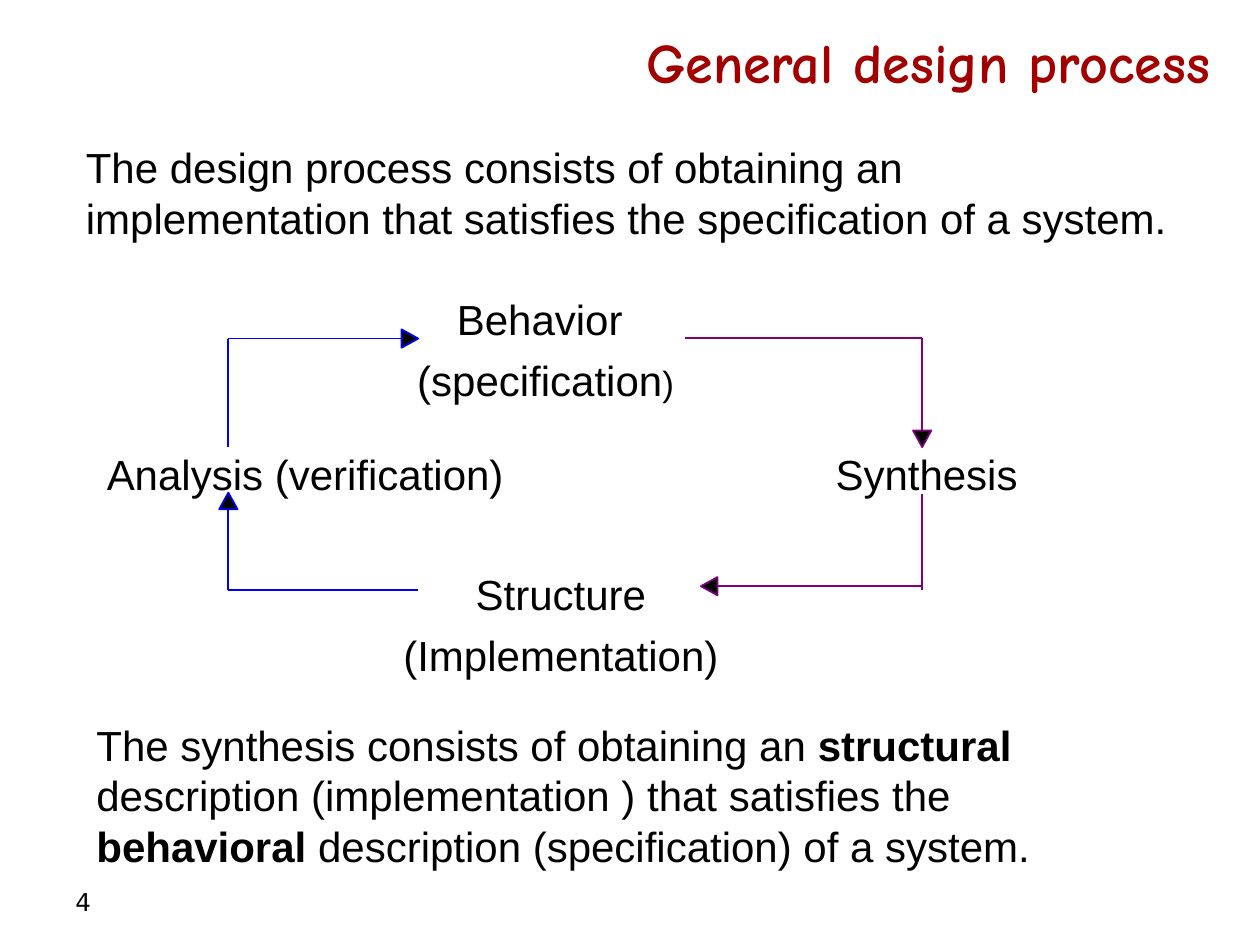
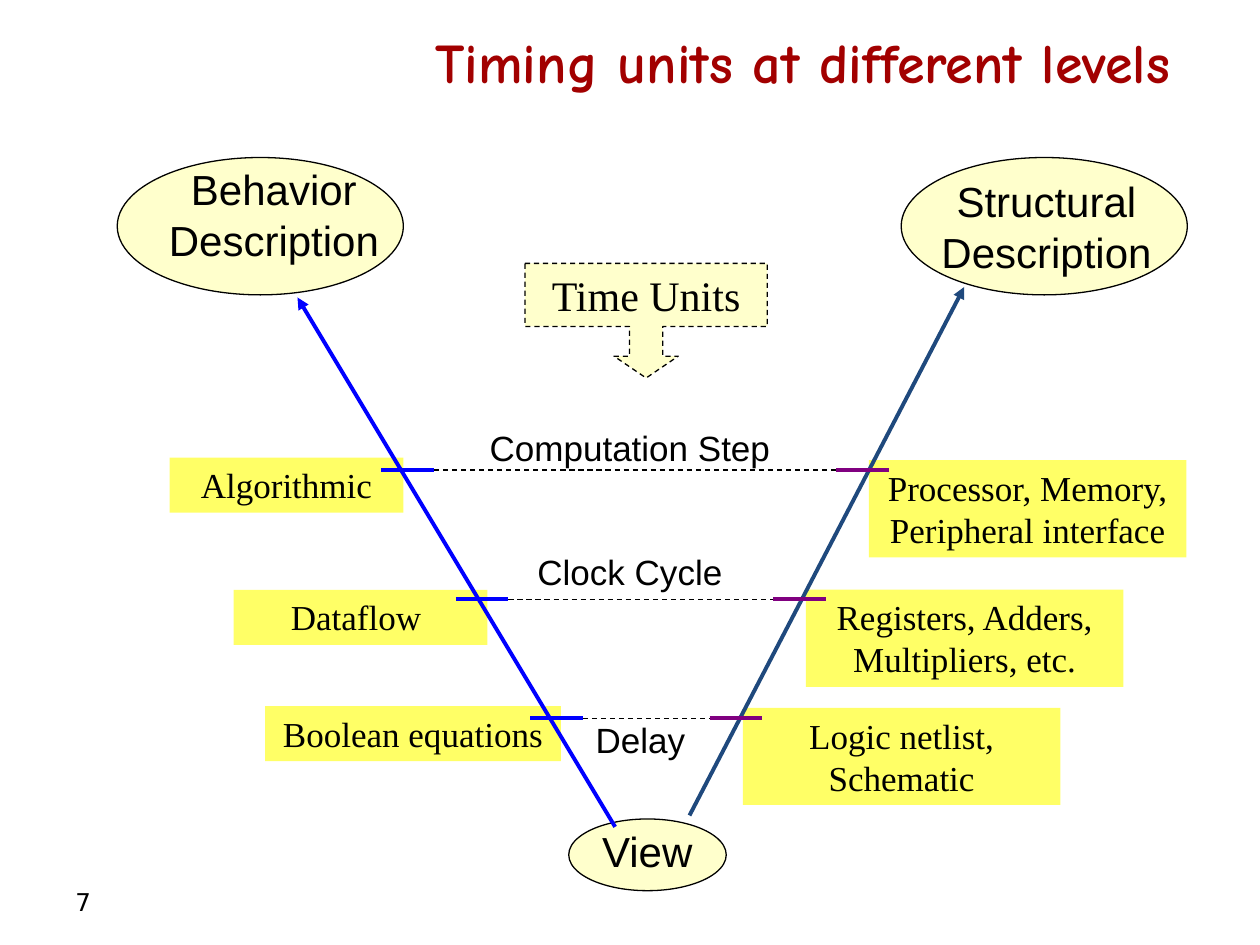
import lxml.etree
import pptx
import pptx.dml.color
import pptx.enum.dml
import pptx.enum.shapes
import pptx.enum.text
import pptx.oxml.ns
import pptx.util

Pt = pptx.util.Pt
color = pptx.dml.color.RGBColor.from_string
qn = pptx.oxml.ns.qn
ALIGN = pptx.enum.text.PP_ALIGN
ANCHOR = pptx.enum.text.MSO_ANCHOR
SHAPE = pptx.enum.shapes.MSO_SHAPE
DASH = pptx.enum.dml.MSO_LINE.DASH

BLACK, TITLE_RED = "000000", "A20000"
BLUE, PURPLE, NAVY = "0000FF", "800080", "1F497D"
CREAM, YELLOW = "FFFFCC", "FFFF66"
SANS, SERIF = "Arial", "Times New Roman"


def write_text(box, text, size, font=SANS, align=ALIGN.LEFT, anchor=ANCHOR.TOP, hue=BLACK, gap=0):
    frame = box.text_frame
    frame.word_wrap = True
    frame.vertical_anchor = anchor
    frame.text = text
    for index, para in enumerate(frame.paragraphs):
        para.alignment = align
        para.space_before = Pt(gap if index else 0)
        para.font.name = font
        para.font.size = Pt(size)
        para.font.color.rgb = color(hue)
    return frame


def draw_line(page, start, end, hue, width, dashed=False, arrow=False):
    line = page.shapes.add_connector(
        pptx.enum.shapes.MSO_CONNECTOR.STRAIGHT, *map(Pt, start + end))
    line.line.color.rgb = color(hue)
    line.line.width = Pt(width)
    if dashed:
        line.line.dash_style = DASH
    properties = line._element.spPr
    if arrow:
        lxml.etree.SubElement(properties.find(qn("a:ln")), qn("a:tailEnd"), type="triangle")
    lxml.etree.SubElement(properties, qn("a:effectLst"))


deck = pptx.Presentation()
deck.slide_width, deck.slide_height = Pt(720), Pt(540)

pages = []
for heading, number, right_margin in [
    ("General design process", "4", 7.2),
    ("Timing units at different levels", "7", 30),
]:
    page = deck.slides.add_slide(deck.slide_layouts[5])
    title = page.shapes.title
    title.left, title.top, title.width, title.height = map(Pt, (46, 9.5, 653, 50.5))
    frame = write_text(title, heading, 32, "Comic Neue", ALIGN.RIGHT, ANCHOR.MIDDLE, TITLE_RED)
    frame.margin_right = Pt(right_margin)
    frame.paragraphs[0].font.bold = True
    box = page.shapes.add_textbox(Pt(36), Pt(500.5), Pt(168), Pt(29))
    write_text(box, number, 14, "DejaVu Sans", anchor=ANCHOR.MIDDLE)
    pages.append(page)
process, timing = pages

box = process.shapes.add_textbox(Pt(42), Pt(77.5), Pt(648), Pt(65.5))
write_text(box, "The design process consists of obtaining an implementation "
           "that satisfies the specification of a system.", 24)

stages = {}
for text, left, top, width, height, align in [
    ("Behavior \n(specification", 237.5, 168, 148.5, 64, ALIGN.CENTER),
    ("Analysis (verification)", 61, 256.5, 228, 29, ALIGN.LEFT),
    ("Synthesis", 477.5, 256.5, 105, 29, ALIGN.LEFT),
    ("Structure\n(Implementation)", 229.5, 325, 182, 64, ALIGN.CENTER),
]:
    box = process.shapes.add_textbox(Pt(left), Pt(top), Pt(width), Pt(height))
    frame = write_text(box, text, 24, align=align, gap=5.75)
    frame.word_wrap = False
    frame.margin_left = frame.margin_right = frame.margin_top = frame.margin_bottom = 0
    stages[text.split()[0]] = frame
span = stages["Behavior"].paragraphs[1].add_run()
span.text = ")"
span.font.size = Pt(20)

for hue, start, end in [
    (PURPLE, (391.5, 193), (527, 193)),
    (PURPLE, (527, 193), (527, 247.5)),
    (PURPLE, (527, 282.5), (527, 337)),
    (PURPLE, (527, 335), (407.5, 335)),
    (BLUE, (239, 337), (130.5, 337)),
    (BLUE, (130.5, 337), (130.5, 289.5)),
    (BLUE, (130.5, 255.5), (130.5, 193.5)),
    (BLUE, (130.5, 193.5), (231, 193.5)),
]:
    draw_line(process, start, end, hue, 1)

for hue, tip_x, tip_y, way_x, way_y in [
    (PURPLE, 527, 255.5, 0, 1),
    (PURPLE, 400.5, 335, -1, 0),
    (BLUE, 130.5, 281.5, 0, -1),
    (BLUE, 239, 193.5, 1, 0),
]:
    base_x, base_y = tip_x - 9.5 * way_x, tip_y - 9.5 * way_y
    side_x, side_y = 5.25 * way_y, 5.25 * way_x
    builder = process.shapes.build_freeform(Pt(tip_x), Pt(tip_y))
    builder.add_line_segments([
        (Pt(base_x + side_x), Pt(base_y + side_y)),
        (Pt(base_x - side_x), Pt(base_y - side_y)),
    ], close=True)
    head = builder.convert_to_shape()
    head.shadow.inherit = False
    head.fill.solid()
    head.fill.fore_color.rgb = color(BLACK)
    head.line.color.rgb = color(hue)
    head.line.width = Pt(1)

box = process.shapes.add_textbox(Pt(48), Pt(407.5), Pt(624), Pt(94.5))
para = write_text(box, "", 24).paragraphs[0]
for text, bold in [
    ("The synthesis consists of obtaining an ", False),
    ("structural", True),
    (" description (implementation ) that satisfies the ", False),
    ("behavioral", True),
    (" description (specification) of a system.", False),
]:
    span = para.add_run()
    span.text = text
    span.font.bold = bold

for text, left, top, width, height in [
    ("Algorithmic", 97, 261.5, 133.5, 31.5),
    ("Dataflow ", 133.5, 337, 145, 31.5),
    ("Boolean equations", 151.5, 403.5, 169, 31.5),
    ("Processor, Memory, Peripheral interface", 496.5, 263, 181.5, 55.5),
    ("Registers, Adders, Multipliers, etc.", 460.5, 337, 181.5, 55.5),
    ("Logic netlist, Schematic", 424.5, 404.5, 181.5, 55.5),
]:
    label = timing.shapes.add_shape(SHAPE.RECTANGLE, Pt(left), Pt(top), Pt(width), Pt(height))
    label.shadow.inherit = False
    label.fill.solid()
    label.fill.fore_color.rgb = color(YELLOW)
    label.line.fill.background()
    write_text(label, text, 20, SERIF, ALIGN.CENTER)

for kind, left, top, width, height in [
    (SHAPE.OVAL, 325, 468, 90, 41),
    (SHAPE.OVAL, 67, 90, 163.5, 78.5),
    (SHAPE.OVAL, 515, 90, 163.5, 78.5),
    (SHAPE.DOWN_ARROW_CALLOUT, 300, 150.5, 138.5, 65.5),
]:
    node = timing.shapes.add_shape(kind, Pt(left), Pt(top), Pt(width), Pt(height))
    node.shadow.inherit = False
    node.fill.solid()
    node.fill.fore_color.rgb = color(CREAM)
    node.line.color.rgb = color(BLACK)
    node.line.width = Pt(0.75)
node.line.dash_style = DASH
for index, value in enumerate((0.29, 0.28, 0.19, 0.55)):
    node.adjustments[index] = value
write_text(node, "Time Units", 24, SERIF, ALIGN.CENTER, ANCHOR.MIDDLE)

draw_line(timing, (351.5, 472.5), (170, 170), BLUE, 2.25, arrow=True)
draw_line(timing, (394, 466), (551, 164), NAVY, 2.25, arrow=True)

TICK = 30
for y, left, right in [(268.5, 218, 478), (342.5, 260.5, 442), (410.5, 303, 405.5)]:
    draw_line(timing, (left, y), (left + TICK, y), BLUE, 2.25)
    draw_line(timing, (right, y), (right + TICK, y), PURPLE, 2.25)
    draw_line(timing, (left + TICK, y), (right, y), BLACK, 0.75, dashed=True)

for text, left, top, width, height, size, align in [
    ("View", 337, 468, 84, 36, 24, ALIGN.LEFT),
    ("Behavior Description", 60.5, 90, 192, 65.5, 24, ALIGN.CENTER),
    ("Structural Description", 523.5, 97, 149, 65.5, 24, ALIGN.CENTER),
    ("Computation Step", 270, 240, 180, 31.5, 20, ALIGN.CENTER),
    ("Clock Cycle", 288, 311, 144, 31.5, 20, ALIGN.CENTER),
    ("Delay", 294, 407, 144, 31.5, 20, ALIGN.CENTER),
]:
    box = timing.shapes.add_textbox(Pt(left), Pt(top), Pt(width), Pt(height))
    write_text(box, text, size, align=align)

deck.save("out.pptx")
